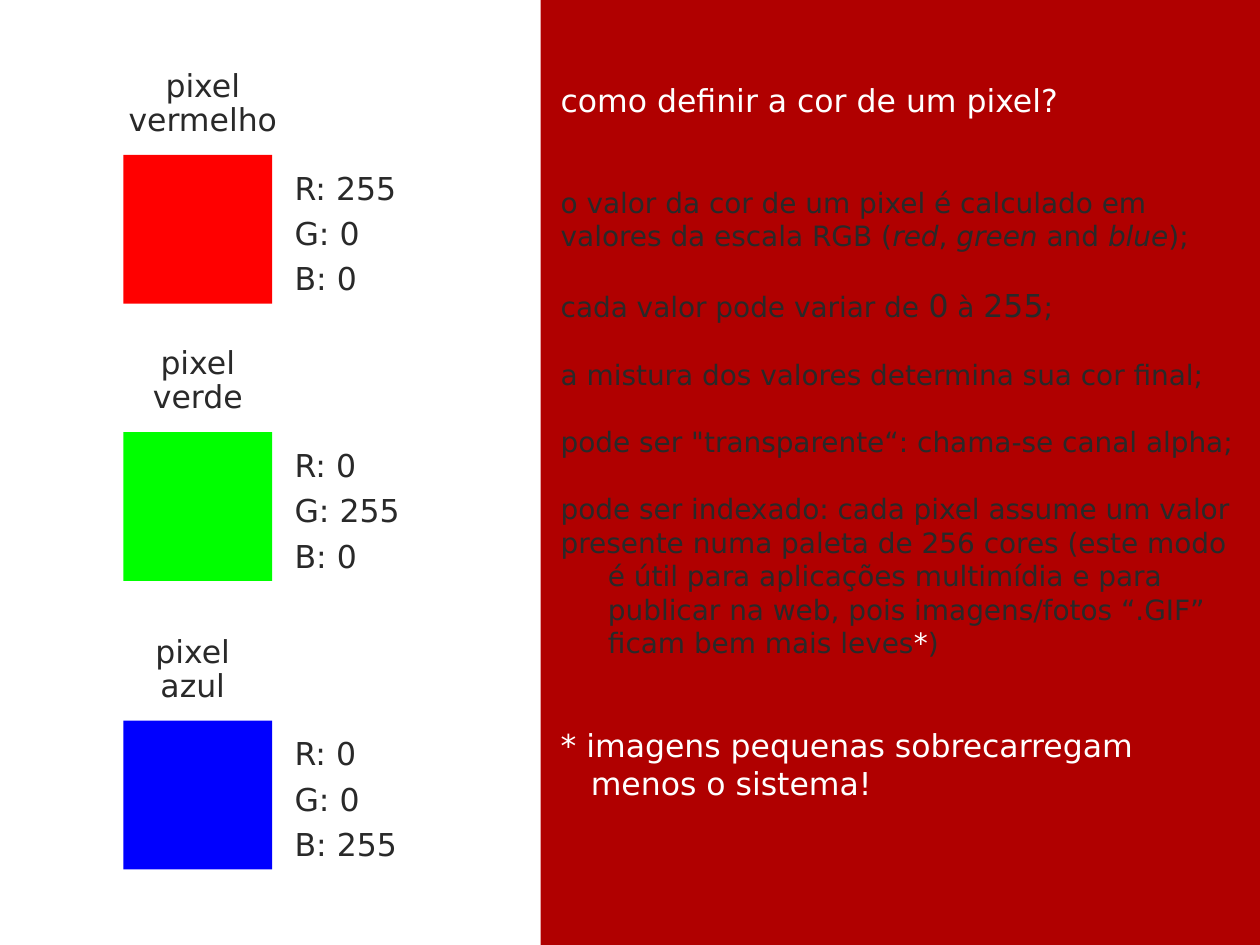
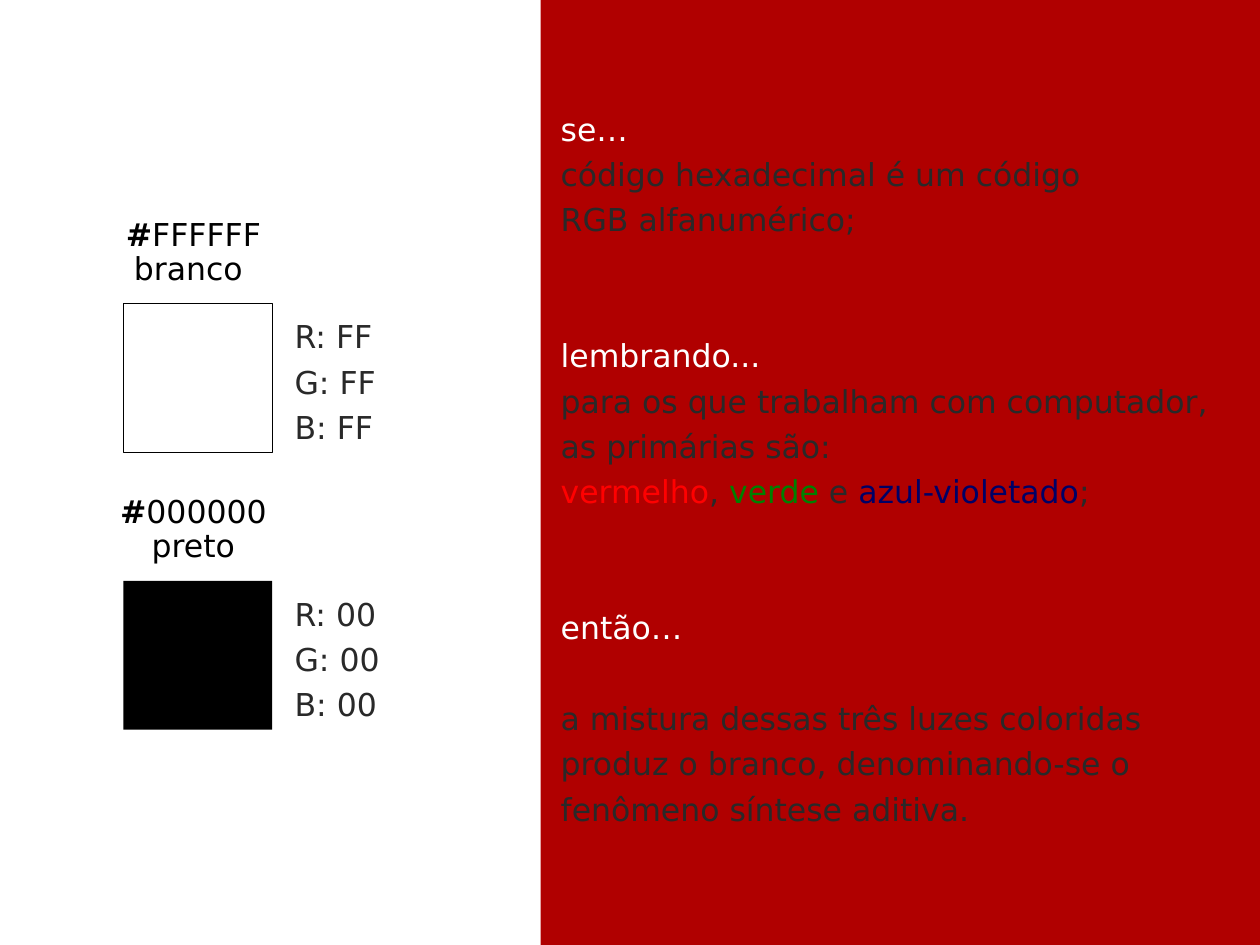
from pptx import Presentation
from pptx.dml.color import RGBColor
from pptx.enum.shapes import MSO_SHAPE as Shape
from pptx.enum.text import MSO_ANCHOR as Anchor, MSO_AUTO_SIZE as AutoSize, PP_ALIGN as Align
from pptx.oxml.ns import qn
from pptx.util import Pt

WHITE = RGBColor(0xFF, 0xFF, 0xFF)
BLACK = RGBColor(0x00, 0x00, 0x00)
INK = RGBColor(0x29, 0x29, 0x29)
BAND = RGBColor(0xB0, 0x00, 0x00)
RED = RGBColor(0xFF, 0x00, 0x00)
LIME = RGBColor(0x00, 0xFF, 0x00)
BLUE = RGBColor(0x00, 0x00, 0xFF)
GREEN = RGBColor(0x00, 0x80, 0x00)
VIOLET = RGBColor(0x00, 0x00, 0x66)

FONT = "DejaVu Sans"
PAGE_WIDTH, PAGE_HEIGHT = 720, 540
BAND_LEFT = 308.9
TEXT_LEFT = 313.2
SWATCH_LEFT, SWATCH_SIZE = 70.56, 85
LABEL_WIDTH, LABEL_HEIGHT, LABEL_RISE = 113, 46, 51.84
VALUES_OFFSET, VALUES_WIDTH = 90.72, 102
HANGING = 27
LINE_16, LINE_18 = 19.15, 21.58
LINE_TALL = 25.9


def place(shape, left, top, width, height):
    shape.left, shape.top = Pt(left), Pt(top)
    shape.width, shape.height = Pt(width), Pt(height)


def prepare_frame(shape):
    frame = shape.text_frame
    frame.word_wrap = True
    frame.auto_size = AutoSize.NONE
    frame.vertical_anchor = Anchor.TOP
    return frame


def write_line(para, spans, size=18, color=INK, spacing=1.0, align=Align.LEFT,
               gap=0, margin=0, indent=0):
    para.alignment = align
    para.line_spacing = spacing
    para.space_before, para.space_after = Pt(gap), Pt(0)
    properties = para._p.get_or_add_pPr()
    properties.set("marL", str(Pt(margin)))
    properties.set("indent", str(Pt(indent)))
    properties.append(properties.makeelement(qn("a:buNone"), {}))
    para.font.name = FONT
    para.font.size = Pt(size)
    para.font.color.rgb = color
    for span in [spans] if isinstance(spans, str) else spans:
        text, style = (span, {}) if isinstance(span, str) else span
        run = para.add_run()
        run.text = text
        for name, value in style.items():
            if name == "color":
                run.font.color.rgb = value
            else:
                setattr(run.font, name, value)


def write_lines(shape, lines, **shared):
    frame = prepare_frame(shape)
    for index, (spans, style) in enumerate(lines):
        para = frame.add_paragraph() if index else frame.paragraphs[0]
        write_line(para, spans, **{**shared, **style})


def add_rectangle(page, left, top, width, height, fill=None, line=None):
    shape = page.shapes.add_shape(Shape.RECTANGLE, Pt(left), Pt(top), Pt(width), Pt(height))
    shape.shadow.inherit = False
    if fill is None:
        shape.fill.background()
    else:
        shape.fill.solid()
        shape.fill.fore_color.rgb = fill
    if line is None:
        shape.line.fill.background()
    else:
        shape.line.color.rgb = line
        shape.line.width = Pt(0.75)
    return shape


def add_text(page, left, top, width, height, lines, **shared):
    box = page.shapes.add_textbox(Pt(left), Pt(top), Pt(width), Pt(height))
    write_lines(box, [(spans, {}) for spans in lines], **shared)


def add_page(deck):
    page = deck.slides.add_slide(deck.slide_layouts[1])
    band = add_rectangle(page, BAND_LEFT, 0, PAGE_WIDTH - BAND_LEFT, PAGE_HEIGHT, BAND)
    page.shapes._spTree.insert(2, band._element)
    return page


def fill_band(page, top, width, height, title, title_height, lines, spacing=1.0):
    title_box, body_box = page.placeholders
    place(title_box, TEXT_LEFT, top, width, title_height)
    write_lines(title_box, [(title, {"color": WHITE})], spacing=spacing)
    place(body_box, TEXT_LEFT, top + title_height, width, height - title_height)
    write_lines(body_box, lines, spacing=spacing, margin=HANGING, indent=-HANGING)


def add_swatch(page, top, label, label_center, values, fill, line=None, label_color=INK):
    add_text(page, label_center - LABEL_WIDTH / 2, top - LABEL_RISE, LABEL_WIDTH, LABEL_HEIGHT,
             label, color=label_color, spacing=0.9, align=Align.CENTER)
    add_rectangle(page, SWATCH_LEFT, top, SWATCH_SIZE, SWATCH_SIZE, fill, line)
    add_text(page, SWATCH_LEFT + VALUES_OFFSET, top, VALUES_WIDTH, SWATCH_SIZE,
             [f"{channel}: {value}" for channel, value in zip("RGB", values)], spacing=1.2)


def build_pixel_page(deck):
    page = add_page(deck)
    italic, large = {"italic": True}, {"size": Pt(18)}
    small = {"size": 16}
    item = {"size": 16, "gap": LINE_16}
    note = {"color": WHITE}
    fill_band(page, 42.48, 406.8, 420, "como definir a cor de um pixel?", LINE_18 + 2 * LINE_16, [
        ("o valor da cor de um pixel é calculado em", small),
        (["valores da escala RGB (", ("red", italic), ", ", ("green", italic), " and ",
          ("blue", italic), ");"], small),
        (["cada valor pode variar de ", ("0", large), " à ", ("255", large), ";"], item),
        ("a mistura dos valores determina sua cor final;", item),
        ('pode ser "transparente“: chama-se canal alpha;', item),
        ("pode ser indexado: cada pixel assume um valor", item),
        (["presente numa paleta de 256 cores (este modo é útil para aplicações multimídia "
          "e para publicar na web, pois imagens/fotos “.GIF” ficam bem mais leves",
          ("*", {"color": WHITE}), ")"], small),
        ("* imagens pequenas sobrecarregam", {**note, "gap": 2 * LINE_16}),
        ("menos o sistema!", {**note, "margin": 17.2, "indent": 0}),
    ])
    for top, name, center, values, fill in [
        (88.56, "vermelho", 115.92, (255, 0, 0), RED),
        (246.96, "verde", 113.04, (0, 255, 0), LIME),
        (411.84, "azul", 110.16, (0, 0, 255), BLUE),
    ]:
        add_swatch(page, top, ["pixel", name], center, values, fill)


def build_hexadecimal_page(deck):
    page = add_page(deck)
    heading = {"color": WHITE, "gap": 2 * LINE_TALL}
    fill_band(page, 54.72, 393.1, 422, "se…", LINE_TALL, [
        ("código hexadecimal é um código", {}),
        ("RGB alfanumérico;", {}),
        ("lembrando...", heading),
        ("para os que trabalham com computador,", {}),
        ("as primárias são:", {}),
        ([("vermelho", {"color": RED}), ", ", ("verde", {"color": GREEN}), " e ",
          ("azul-violetado", {"color": VIOLET}), ";"], {}),
        ("então…", heading),
        ("a mistura dessas três luzes coloridas", {"gap": LINE_TALL}),
        ("produz o branco, denominando-se o", {}),
        ("fenômeno síntese aditiva.", {}),
    ], spacing=1.2)
    for top, name, pair, fill, line in [
        (173.52, "branco ", "FF", None, BLACK),
        (331.92, "preto", "00", BLACK, None),
    ]:
        label = [[("#", {"bold": True}), pair * 3], name]
        add_swatch(page, top, label, 110.52, [pair] * 3, fill, line, BLACK)


def main():
    deck = Presentation()
    deck.slide_width, deck.slide_height = Pt(PAGE_WIDTH), Pt(PAGE_HEIGHT)
    build_pixel_page(deck)
    build_hexadecimal_page(deck)
    deck.save("out.pptx")


if __name__ == "__main__":
    main()
